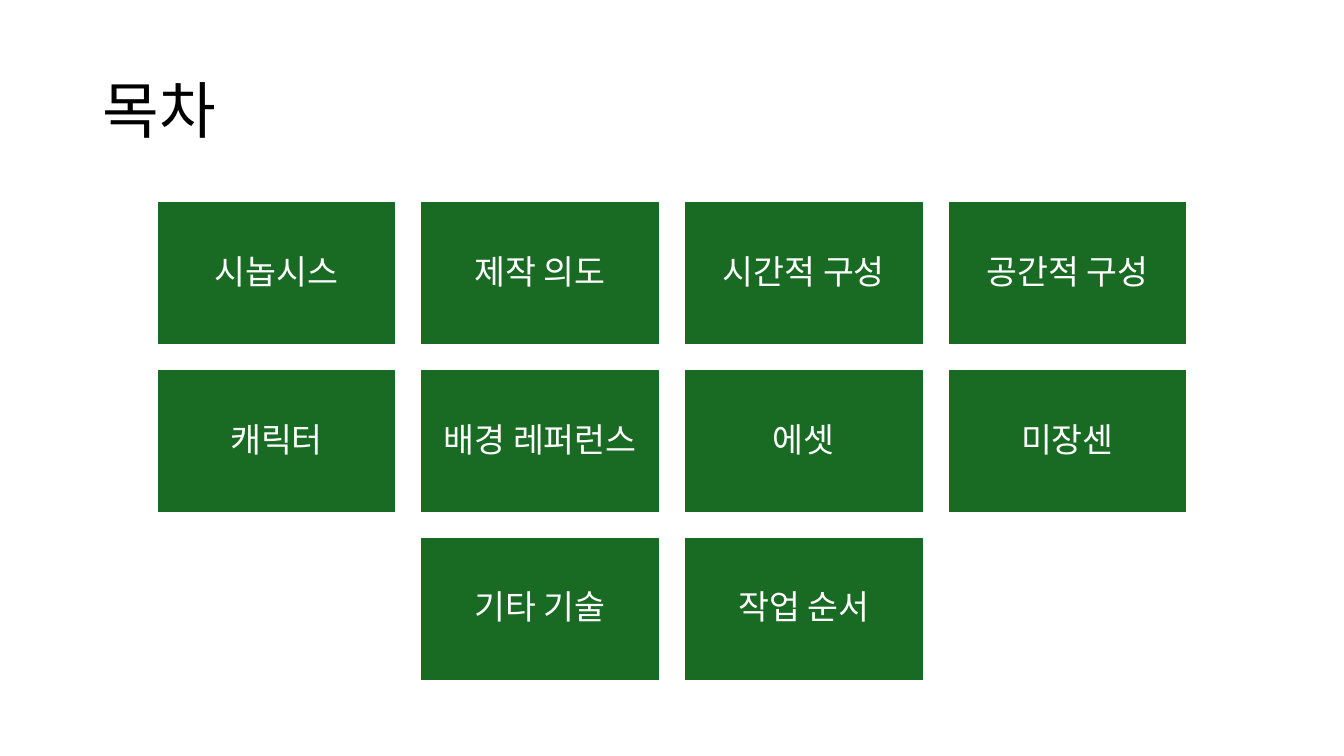
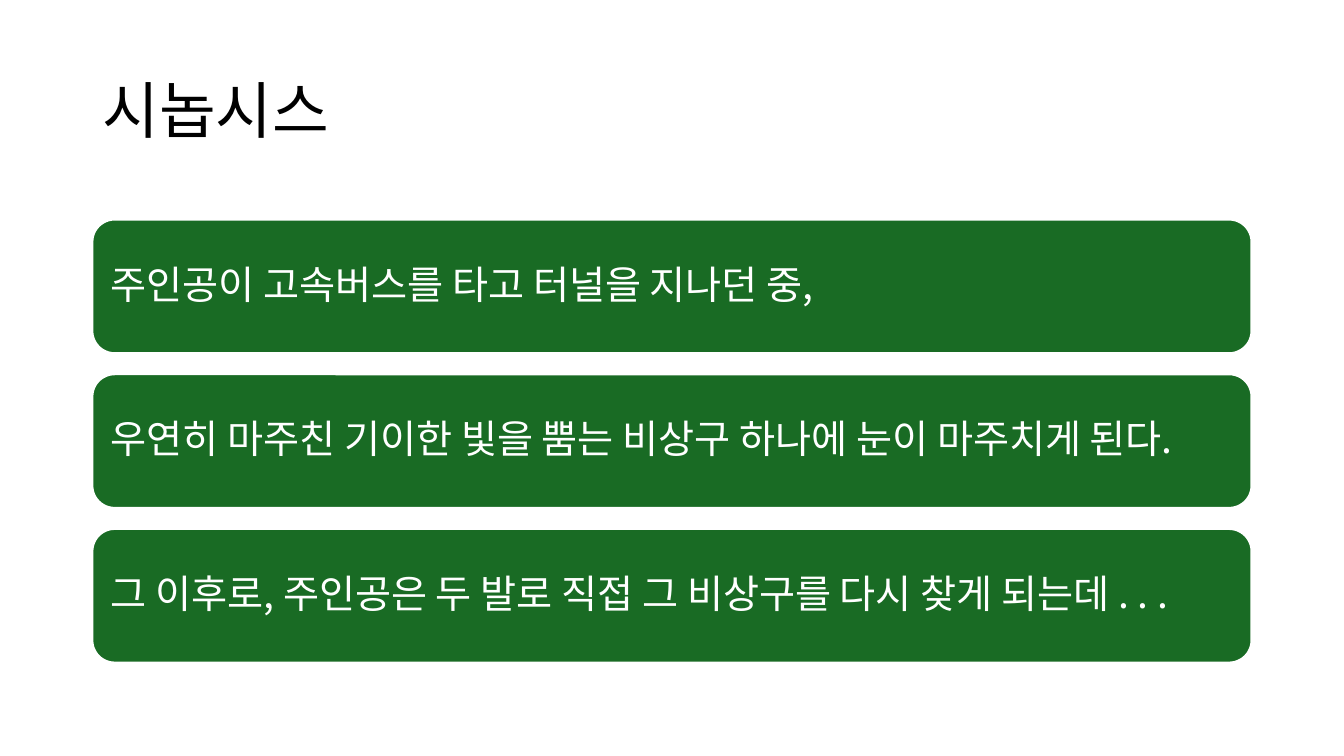
from lxml import etree
from pptx import Presentation
from pptx.dml.color import RGBColor
from pptx.enum.shapes import MSO_SHAPE as SHAPE
from pptx.enum.text import MSO_ANCHOR as ANCHOR, PP_ALIGN as ALIGN
from pptx.oxml.ns import qn
from pptx.util import Pt

COLORS = {"text": "000000", "green": "196B24", "white": "FFFFFF"}
FONT = "Noto Sans CJK KR"
SLIDE_W, SLIDE_H = 960, 540
LEFT, CONTENT_W = 66, 828


def set_text(sp, text, size, color, align, margins):
    """Write one vertically centred paragraph, with the font for Latin and Korean."""
    tf = sp.text_frame
    tf.word_wrap = True
    tf.vertical_anchor = ANCHOR.MIDDLE
    tf.margin_left = tf.margin_right = Pt(margins[0])
    tf.margin_top = tf.margin_bottom = Pt(margins[1])
    p = tf.paragraphs[0]
    p.text = text
    p.alignment = align
    p.line_spacing = 0.9
    p.font.size = Pt(size)
    p.font.color.rgb = RGBColor.from_string(COLORS[color])
    p.font.name = FONT
    latin = p._p.pPr.find(".//" + qn("a:latin"))
    latin.addnext(etree.Element(qn("a:ea"), typeface=FONT))


def add_box(s, kind, left, top, width, height, text, size, align, margin):
    sp = s.shapes.add_shape(kind, Pt(left), Pt(top), Pt(width), Pt(height))
    sp.shadow.inherit = False
    sp.fill.solid()
    sp.fill.fore_color.rgb = RGBColor.from_string(COLORS["green"])
    sp.line.color.rgb = RGBColor.from_string(COLORS["white"])
    sp.line.width = Pt(1.5)
    set_text(sp, text, size, "white", align, (margin, margin))


prs = Presentation()
prs.slide_width, prs.slide_height = Pt(SLIDE_W), Pt(SLIDE_H)

slides = []
for heading in ["목차", "시놉시스"]:
    s = prs.slides.add_slide(prs.slide_layouts[5])
    title = s.shapes.title
    title.left, title.top = Pt(LEFT), Pt(28.75)
    title.width, title.height = Pt(CONTENT_W), Pt(104.4)
    set_text(title, heading, 44, "text", ALIGN.LEFT, (7.2, 3.6))
    slides.append(s)
contents, synopsis = slides

# Contents: rows of tiles, each row centred on the slide
tile_rows = [
    ["시놉시스", "제작 의도", "시간적 구성", "공간적 구성"],
    ["캐릭터", "배경 레퍼런스", "에셋", "미장센"],
    ["기타 기술", "작업 순서"],
]
TILE_W, TILE_H, TILE_GAP, TILE_TOP = 171.2, 102.7, 17.1, 143.9
for row, labels in enumerate(tile_rows):
    row_w = len(labels) * (TILE_W + TILE_GAP) - TILE_GAP
    top = TILE_TOP + row * (TILE_H + TILE_GAP)
    for col, label in enumerate(labels):
        left = (SLIDE_W - row_w) / 2 + col * (TILE_W + TILE_GAP)
        add_box(contents, SHAPE.RECTANGLE, left, top, TILE_W, TILE_H,
                label, 24, ALIGN.CENTER, 7.2)

# Synopsis: full-width bars at an equal pitch
sentences = [
    "주인공이 고속버스를 타고 터널을 지나던 중,",
    "우연히 마주친 기이한 빛을 뿜는 비상구 하나에 눈이 마주치게 된다.",
    "그 이후로, 주인공은 두 발로 직접 그 비상구를 다시 찾게 되는데 . . .",
]
BAR_TOP, BAR_H, BAR_PITCH = 156.8, 95.5, 110.5
for i, sentence in enumerate(sentences):
    add_box(synopsis, SHAPE.ROUNDED_RECTANGLE, LEFT, BAR_TOP + i * BAR_PITCH,
            CONTENT_W, BAR_H, sentence, 28, ALIGN.JUSTIFY, 8.4)

prs.save("out.pptx")
